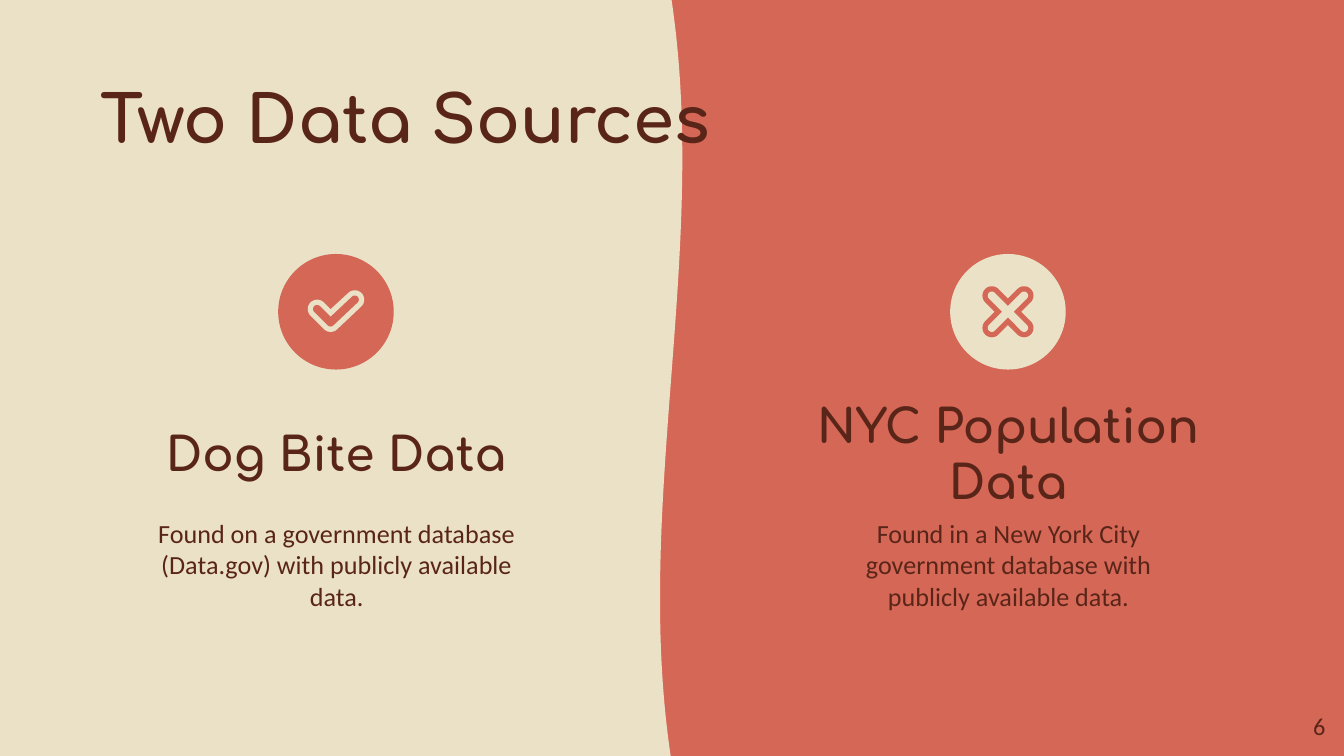
import math

from pptx import Presentation
from pptx import util as u
from pptx.dml.color import RGBColor
from pptx.enum import shapes, text

CREAM, CORAL, BROWN = "EAE1C7", "D56756", "5A2519"
HEADING = {"name": "Comfortaa", "bold": True}
BODY = {"name": "Calibri", "bold": False}
LEFT, CENTER, RIGHT = text.PP_ALIGN.LEFT, text.PP_ALIGN.CENTER, text.PP_ALIGN.RIGHT
TOP, MIDDLE = text.MSO_ANCHOR.TOP, text.MSO_ANCHOR.MIDDLE


def color(value):
    """Turn a hex string into a colour."""
    return RGBColor.from_string(value)


def paint(shape, fill):
    """Give a shape a flat fill with no line or shadow."""
    shape.shadow.inherit = False
    shape.fill.solid()
    shape.fill.fore_color.rgb = color(fill)
    shape.line.fill.background()


def add_preset(slide, kind, box, fill):
    """Add a painted preset shape in the given box."""
    shape = slide.shapes.add_shape(kind, *map(u.Inches, box))
    paint(shape, fill)
    return shape


def add_text(slide, box, words, size, font, align=LEFT, anchor=TOP):
    """Add a wrapped text box with one paragraph."""
    frame = slide.shapes.add_textbox(*map(u.Inches, box)).text_frame
    margins = {f"margin_{side}": u.Inches(0.1) for side in ("left", "top", "right", "bottom")}
    for key, value in {"word_wrap": True, "vertical_anchor": anchor, **margins}.items():
        setattr(frame, key, value)
    paragraph = frame.paragraphs[0]
    paragraph.alignment = align
    run = paragraph.add_run()
    run.text = words
    for key, value in {"size": u.Pt(size), **font}.items():
        setattr(run.font, key, value)
    run.font.color.rgb = color(BROWN)


def arc(x, y, radius, start, end):
    """Return points along a clockwise arc, with angles in degrees."""
    steps = 16
    angles = [math.radians(start + (end - start) * i / steps) for i in range(steps + 1)]
    return [(x + radius * math.cos(a), y + radius * math.sin(a)) for a in angles]


def check_outline(radius):
    """Return a rounded check mark around the badge centre."""
    return [
        *arc(0.14, -0.09, radius, -135, 45),
        *arc(-0.04, 0.08, radius, 45, 135),
        *arc(-0.14, -0.02, radius, 135, 315),
        (-0.04, 0.08 - radius * math.sqrt(2)),
    ]


def cross_outline(radius):
    """Return a rounded cross around the badge centre."""
    points = []
    for angle in range(45, 405, 90):
        x, y = (math.copysign(0.12, f(math.radians(angle))) for f in (math.cos, math.sin))
        points += arc(x, y, radius, angle - 90, angle + 90)
        notch = math.radians(angle + 45)
        reach = radius * math.sqrt(2)
        points.append((reach * math.cos(notch), reach * math.sin(notch)))
    return points


def add_badge(slide, box, outline, fill, mark_fill):
    """Add a round badge holding an outlined mark."""
    left, top, width, height = box
    add_preset(slide, shapes.MSO_SHAPE.OVAL, box, fill)
    for radius, layer_fill in ((0.07, mark_fill), (0.03, fill)):
        points = [
            (u.Inches(left + width / 2 + x), u.Inches(top + height / 2 + y))
            for x, y in outline(radius)
        ]
        builder = slide.shapes.build_freeform(*points[0])
        builder.add_line_segments(points[1:], close=True)
        paint(builder.convert_to_shape(), layer_fill)


def add_background(slide, width, height):
    """Split the slide into two colours with a wavy edge."""
    slide.background.fill.solid()
    slide.background.fill.fore_color.rgb = color(CREAM)
    add_preset(slide, shapes.MSO_SHAPE.RECTANGLE, (4.88, 0, width - 4.88, height), CORAL)
    wave = add_preset(slide, shapes.MSO_SHAPE.WAVE, (1.9, 2.47, 5.67, 0.69), CREAM)
    wave.rotation = 90
    wave.adjustments[0], wave.adjustments[1] = 0.125, 0


def add_source(slide, box, heading, description, outline, fill, mark_fill):
    """Add a data source column: badge, heading and description."""
    left, top, width, _ = box
    add_badge(slide, (left + (width - 0.86) / 2, top, 0.86, 0.86), outline, fill, mark_fill)
    add_text(slide, (left, top + 1.32, width, 0.32), heading, 25, HEADING, CENTER, MIDDLE)
    add_text(slide, (left + 0.29, top + 1.86, 2.87, 1.35), description, 14, BODY, CENTER)


def main():
    """Build and save the slide."""
    presentation = Presentation()
    width = 10
    height = width * 9 / 16
    presentation.slide_width, presentation.slide_height = u.Inches(width), u.Inches(height)
    slide = presentation.slides.add_slide(presentation.slide_layouts[6])
    add_background(slide, width, height)
    add_text(slide, (0.65, 0.48, 8.69, 0.63), "Two Data Sources", 35, HEADING)
    sources = [
        ("Dog Bite Data",
         "Found on a government database (Data.gov) with publicly available data.",
         check_outline, CORAL, CREAM),
        ("NYC Population Data",
         "Found in a New York City government database with publicly available data.",
         cross_outline, CREAM, CORAL),
    ]
    for column, source in enumerate(sources):
        add_source(slide, (0.78 + column * width / 2, 1.89, 3.44, 3.21), *source)
    add_text(slide, (9.36, 5.19, 0.6, 0.43), "6", 13, BODY, RIGHT)
    presentation.save("out.pptx")


if __name__ == "__main__":
    main()
